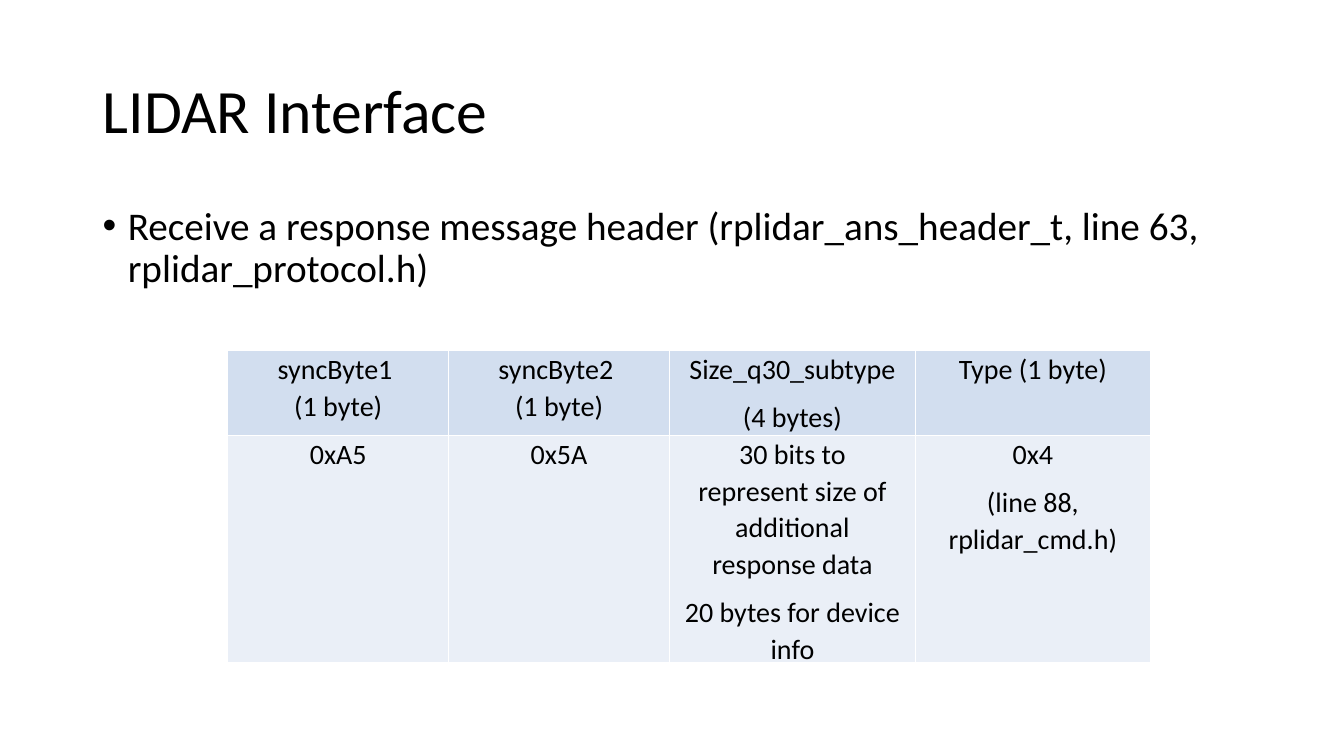
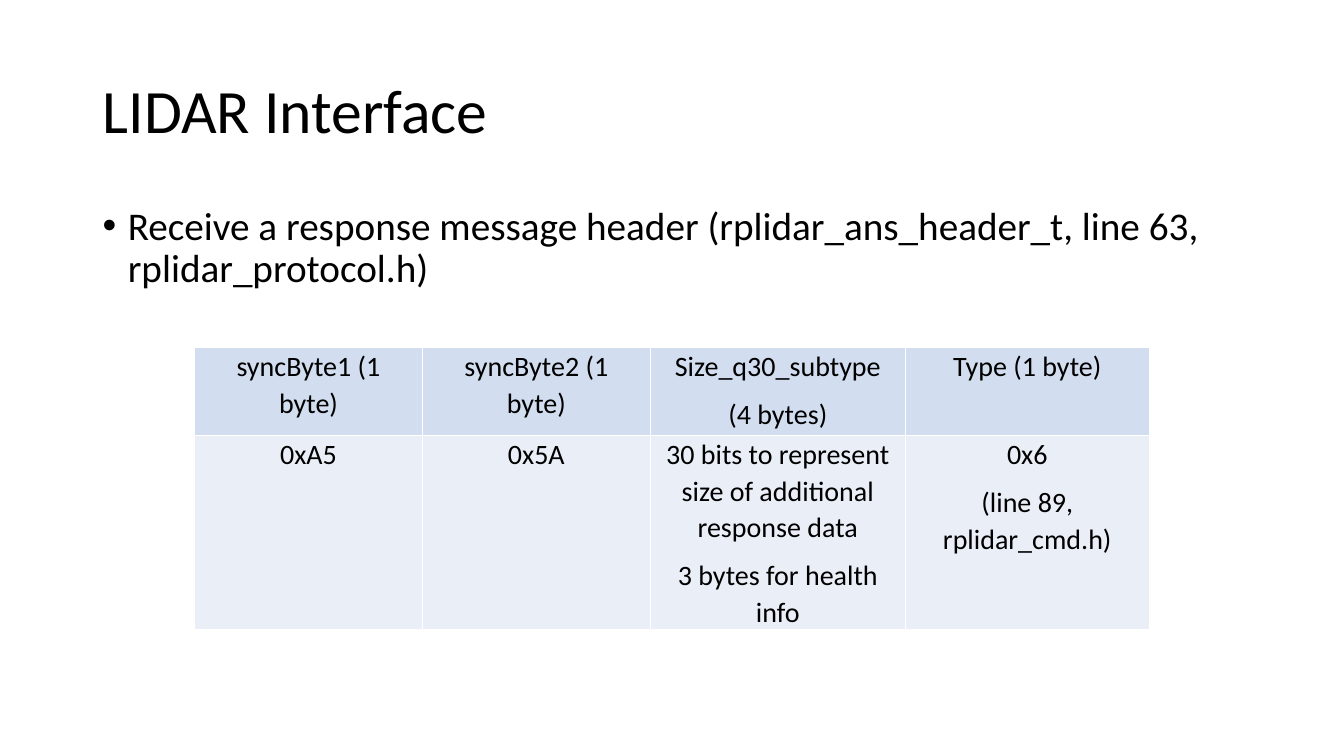
import lxml.etree
import pptx
import pptx.dml.color
import pptx.enum.text
import pptx.oxml.ns
import pptx.util

Inches = pptx.util.Inches
Pt = pptx.util.Pt
RGBColor = pptx.dml.color.RGBColor
ALIGN = pptx.enum.text.PP_ALIGN
ANCHOR = pptx.enum.text.MSO_ANCHOR
qn = pptx.oxml.ns.qn

BLACK = RGBColor(0x00, 0x00, 0x00)
WHITE = RGBColor(0xFF, 0xFF, 0xFF)
HEADER_BLUE = RGBColor(0xD2, 0xDE, 0xEF)
BODY_BLUE = RGBColor(0xEA, 0xEF, 0xF7)

TITLE = "LIDAR Interface"
BULLET = "Receive a response message header (rplidar_ans_header_t, line 63, rplidar_protocol.h)"
TITLE_BOX = (0.92, 0.4, 11.5, 1.45)
BULLET_BOX = (0.92, 2, 11.5, 1.02)

TITLE_FORMAT = {"alignment": ALIGN.LEFT, "line_spacing": 0.9}
BULLET_FORMAT = {"alignment": ALIGN.LEFT, "line_spacing": 0.9}
CELL_FORMAT = {"alignment": ALIGN.CENTER, "line_spacing": 1.07, "space_after": Pt(8)}
CELL_FRAME = {
    "margin_left": Inches(0.12),
    "margin_right": Inches(0.12),
    "margin_top": 0,
    "margin_bottom": 0,
    "vertical_anchor": ANCHOR.TOP,
}

RESPONSES = [
    {
        "position": (2.26, 3.48),
        "columns": (2.19, 2.19, 2.44, 2.33),
        "rows": (0.84, 1.86),
        "break": " \v",
        "size": "20 bytes for device info",
        "type": "0x4\n(line 88, rplidar_cmd.h)",
    },
    {
        "position": (1.93, 3.45),
        "columns": (2.26, 2.26, 2.53, 2.42),
        "rows": (0.87, 1.93),
        "break": " ",
        "size": "3 bytes for health info",
        "type": "0x6\n(line 89, rplidar_cmd.h)",
    },
]


def apply_format(target, values):
    for name, value in values.items():
        setattr(target, name, value)


def write_text(text_frame, text, size, paragraph_format):
    text_frame.text = text
    for paragraph in text_frame.paragraphs:
        apply_format(paragraph, paragraph_format)
        for run in paragraph.runs:
            apply_format(run.font, {"name": "Calibri", "size": Pt(size)})
            run.font.color.rgb = BLACK


def add_title(slide, box):
    title = slide.shapes.title
    apply_format(title, dict(zip(("left", "top", "width", "height"), map(Inches, box))))
    write_text(title.text_frame, TITLE, 44, TITLE_FORMAT)
    apply_format(title.text_frame, {
        "vertical_anchor": ANCHOR.MIDDLE,
        "word_wrap": True,
        "auto_size": pptx.enum.text.MSO_AUTO_SIZE.NONE,
    })


def add_bullet(slide, box):
    text_frame = slide.shapes.add_textbox(*map(Inches, box)).text_frame
    text_frame.word_wrap = True
    write_text(text_frame, BULLET, 28, BULLET_FORMAT)
    properties = text_frame.paragraphs[0]._p.get_or_add_pPr()
    properties.set("marL", str(Inches(0.25)))
    properties.set("indent", str(Inches(-0.25)))
    lxml.etree.SubElement(properties, qn("a:buFont"), typeface="Arial")
    lxml.etree.SubElement(properties, qn("a:buChar"), char="•")


def add_borders(cell):
    properties = cell._tc.get_or_add_tcPr()
    for side in ("a:lnL", "a:lnR", "a:lnT", "a:lnB"):
        line = lxml.etree.SubElement(properties, qn(side), w=str(Pt(1)))
        fill = lxml.etree.SubElement(line, qn("a:solidFill"))
        lxml.etree.SubElement(fill, qn("a:srgbClr"), val=str(WHITE))


def add_header_table(slide, response):
    columns, rows = response["columns"], response["rows"]
    separator = response["break"]
    contents = [
        (
            f"syncByte1{separator}(1 byte)",
            f"syncByte2{separator}(1 byte)",
            "Size_q30_subtype\n(4 bytes)",
            "Type (1 byte)",
        ),
        (
            "0xA5",
            "0x5A",
            "30 bits to represent size of additional response data\n" + response["size"],
            response["type"],
        ),
    ]
    box = (*response["position"], sum(columns), sum(rows))
    table = slide.shapes.add_table(len(rows), len(columns), *map(Inches, box)).table
    apply_format(table, {"first_row": False, "horz_banding": False})
    for column, width in zip(table.columns, columns):
        column.width = Inches(width)
    for row, height, texts, color in zip(table.rows, rows, contents, (HEADER_BLUE, BODY_BLUE)):
        row.height = Inches(height)
        for cell, text in zip(row.cells, texts):
            apply_format(cell, CELL_FRAME)
            write_text(cell.text_frame, text, 20, CELL_FORMAT)
            add_borders(cell)
            cell.fill.solid()
            cell.fill.fore_color.rgb = color


def add_response_slide(presentation, response):
    slide = presentation.slides.add_slide(presentation.slide_layouts[5])
    add_title(slide, TITLE_BOX)
    add_bullet(slide, BULLET_BOX)
    add_header_table(slide, response)


def main():
    presentation = pptx.Presentation()
    presentation.slide_width = Inches(13.33)
    presentation.slide_height = Inches(7.5)
    for response in RESPONSES:
        add_response_slide(presentation, response)
    presentation.save("out.pptx")


if __name__ == "__main__":
    main()
